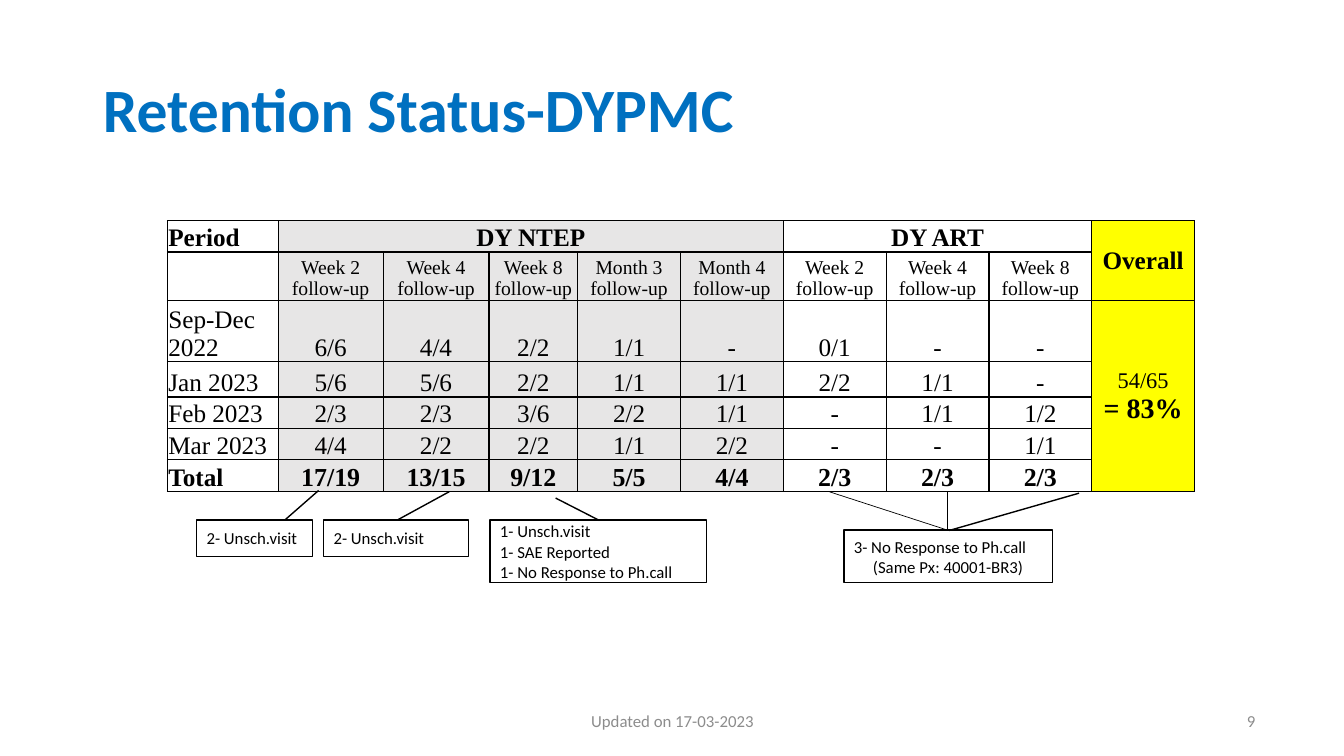
from pptx import Presentation
from pptx.dml.color import RGBColor
from pptx.enum.shapes import MSO_CONNECTOR, MSO_SHAPE
from pptx.enum.text import MSO_ANCHOR, PP_ALIGN
from pptx.oxml import parse_xml
from pptx.oxml.ns import nsdecls, qn
from pptx.util import Inches, Pt
from lxml import etree

LEFT, CENTER, RIGHT = PP_ALIGN.LEFT, PP_ALIGN.CENTER, PP_ALIGN.RIGHT
MIDDLE, BOTTOM = MSO_ANCHOR.MIDDLE, MSO_ANCHOR.BOTTOM
CALLOUT, STRAIGHT = MSO_SHAPE.LINE_CALLOUT_1, MSO_CONNECTOR.STRAIGHT
SANS, SERIF = "Calibri", "Times New Roman"
BLACK, WHITE, BLUE, FOOTER_GREY = "000000", "FFFFFF", "0070C0", "8C8C8C"
NTEP_GREY, YELLOW = "E7E6E6", "FFFF00"

COLUMN_WIDTHS = [1.1, 1.04, 1.05, 0.88] + [1.02] * 6
ROW_HEIGHTS = [0.3, 0.46, 0.58, 0.35, 0.3, 0.31, 0.3]
NTEP_COLUMNS = range(1, 6)
OVERALL_COLUMN = 9
VISITS = ["Week 2", "Week 4", "Week 8", "Month 3", "Month 4",
          "Week 2", "Week 4", "Week 8"]
ROWS = [
    ["Period", "DY NTEP", "", "", "", "", "DY ART", "", "", "Overall"],
    [""] + [f"{visit} follow-up" for visit in VISITS] + [""],
    ["Sep-Dec 2022", "6/6", "4/4", "2/2", "1/1", "-", "0/1", "-", "-", ""],
    ["Jan 2023", "5/6", "5/6", "2/2", "1/1", "1/1", "2/2", "1/1", "-", ""],
    ["Feb 2023", "2/3", "2/3", "3/6", "2/2", "1/1", "-", "1/1", "1/2", ""],
    ["Mar 2023", "4/4", "2/2", "2/2", "1/1", "2/2", "-", "-", "1/1", ""],
    ["Total", "17/19", "13/15", "9/12", "5/5", "4/4", "2/3", "2/3", "2/3", ""],
]
TOTAL_ROW = len(ROWS) - 1
MERGES = [((0, 1), (0, 5)), ((0, 6), (0, 8)), ((0, 9), (1, 9)), ((2, 9), (6, 9))]

# box, pointer adjustments (y, x of start, y, x of tip), lines with indents
CALLOUTS = [
    ((1.95, 5.16, 1.15, 0.36), (-0.01, 0.764, -0.816, 1.052),
     [("2- Unsch.visit", 0)]),
    ((3.21, 5.16, 1.44, 0.36), (0.006, 0.505, -0.784, 0.866),
     [("2- Unsch.visit", 0)]),
    ((4.86, 5.16, 2.15, 0.62), (0.006, 0.505, -0.353, 0.303),
     [("1- Unsch.visit", 0), ("1- SAE Reported", 0),
      ("1- No Response to Ph.call", 0)]),
    ((8.37, 5.26, 2.07, 0.52), (0.006, 0.505, -0.707, 1.127),
     [("3- No Response to Ph.call", 0), ("(Same Px: 40001-BR3)", 0.19)]),
]
POINTER_HUB = (9.4, 5.26)
POINTER_TIPS = [(8.23, 4.88), (9.4, 4.88)]


def color(hex_code):
    """Turn a hex string into a colour."""
    return RGBColor.from_string(hex_code)


def inches(values):
    """Turn a sequence of numbers into lengths."""
    return [Inches(value) for value in values]


def add_span(para, text, size, font, hex_code, bold=False, align=LEFT):
    """Add one formatted run and align its paragraph."""
    para.alignment = align
    span = para.add_run()
    span.text = text
    span.font.size, span.font.name, span.font.bold = Pt(size), font, bold
    span.font.color.rgb = color(hex_code)


def next_para(frame, index):
    """Return the first paragraph of a frame, or a new one after it."""
    return frame.add_paragraph() if index else frame.paragraphs[0]


def add_title(page, box):
    """Place and fill the title placeholder."""
    title = page.shapes.title
    title.left, title.top, title.width, title.height = inches(box)
    frame = title.text_frame
    frame.vertical_anchor = MIDDLE
    para = frame.paragraphs[0]
    para.line_spacing = 0.9
    add_span(para, "Retention Status-DYPMC", 44, SANS, BLUE, True)


def add_footer(page, box, text, align):
    """Add a small grey footer text."""
    frame = page.shapes.add_textbox(*inches(box)).text_frame
    frame.word_wrap = True
    frame.vertical_anchor = MIDDLE
    add_span(frame.paragraphs[0], text, 12, SANS, FOOTER_GREY, align=align)


def add_borders(cell):
    """Draw thin black borders around a cell."""
    properties = cell._tc.get_or_add_tcPr()
    for index, side in enumerate(("lnL", "lnR", "lnT", "lnB")):
        properties.insert(index, parse_xml(
            f'<a:{side} {nsdecls("a")} w="{Pt(1)}"><a:solidFill>'
            f'<a:srgbClr val="{BLACK}"/></a:solidFill></a:{side}>'))


def format_cell(cell, row, column):
    """Set margins, anchor, fill and borders by the cell's place."""
    cell.margin_left = cell.margin_right = cell.margin_top = Inches(0.01)
    cell.margin_bottom = 0
    cell.vertical_anchor = MIDDLE if column == OVERALL_COLUMN else BOTTOM
    if column == OVERALL_COLUMN or column in NTEP_COLUMNS:
        cell.fill.solid()
        cell.fill.fore_color.rgb = color(
            YELLOW if column == OVERALL_COLUMN else NTEP_GREY)
    else:
        cell.fill.background()
    add_borders(cell)


def add_retention_table(page, left, top):
    """Add the table of follow-ups kept by period and site."""
    table = page.shapes.add_table(
        len(ROWS), len(COLUMN_WIDTHS),
        *inches((left, top, sum(COLUMN_WIDTHS), sum(ROW_HEIGHTS)))).table
    table.first_row = table.horz_banding = False
    for column, width in zip(table.columns, COLUMN_WIDTHS):
        column.width = Inches(width)
    for row, height in zip(table.rows, ROW_HEIGHTS):
        row.height = Inches(height)
    for r, texts in enumerate(ROWS):
        for c, text in enumerate(texts):
            cell = table.cell(r, c)
            format_cell(cell, r, c)
            if text:
                size = 14 if r == 1 else 18.5 if r == TOTAL_ROW and c else 18
                add_span(cell.text_frame.paragraphs[0], text, size, SERIF, BLACK,
                         r in (0, TOTAL_ROW), CENTER if c else LEFT)
    for first, last in MERGES:
        table.cell(*first).merge(table.cell(*last))
    frame = table.cell(2, OVERALL_COLUMN).text_frame
    for index, (text, size, bold) in enumerate(
            [("54/65", 16, False), ("= 83%", 20, True)]):
        add_span(next_para(frame, index), text, size, SERIF, BLACK, bold, CENTER)


def add_callout(page, box, pointer, lines):
    """Add a bordered note whose pointer leads to a total."""
    note = page.shapes.add_shape(CALLOUT, *inches(box))
    note.shadow.inherit = False
    for index, value in enumerate(pointer):
        note.adjustments[index] = value
    note.fill.solid()
    note.fill.fore_color.rgb = color(WHITE)
    note.line.color.rgb = color(BLACK)
    note.line.width = Pt(1)
    frame = note.text_frame
    frame.word_wrap = True
    frame.vertical_anchor = MIDDLE
    for index, (text, indent) in enumerate(lines):
        para = next_para(frame, index)
        add_span(para, text, 12, SANS, BLACK)
        if indent:
            para._p.get_or_add_pPr().set("marL", str(Inches(indent)))


def add_pointer(page, start, end):
    """Add a thin line from a shared note to one more total."""
    line = page.shapes.add_connector(STRAIGHT, *inches(start + end))
    line.line.color.rgb = color(BLACK)
    line.line.width = Pt(0.5)
    etree.SubElement(line._element.spPr, qn("a:effectLst"))


def build_retention_page(deck):
    """Build the retention status slide."""
    page = deck.slides.add_slide(deck.slide_layouts[5])
    add_title(page, (0.92, 0.39, 11.5, 1.45))
    add_footer(page, (9.55, 6.95, 3, 0.4), "9", RIGHT)
    add_footer(page, (4.42, 6.95, 4.5, 0.4), "Updated on 17-03-2023", CENTER)
    add_retention_table(page, 1.66, 2.19)
    for box, pointer, lines in CALLOUTS:
        add_callout(page, box, pointer, lines)
    for tip in POINTER_TIPS:
        add_pointer(page, POINTER_HUB, tip)


deck = Presentation()
deck.slide_width, deck.slide_height = inches((13.33, 7.5))
build_retention_page(deck)
deck.save("out.pptx")
